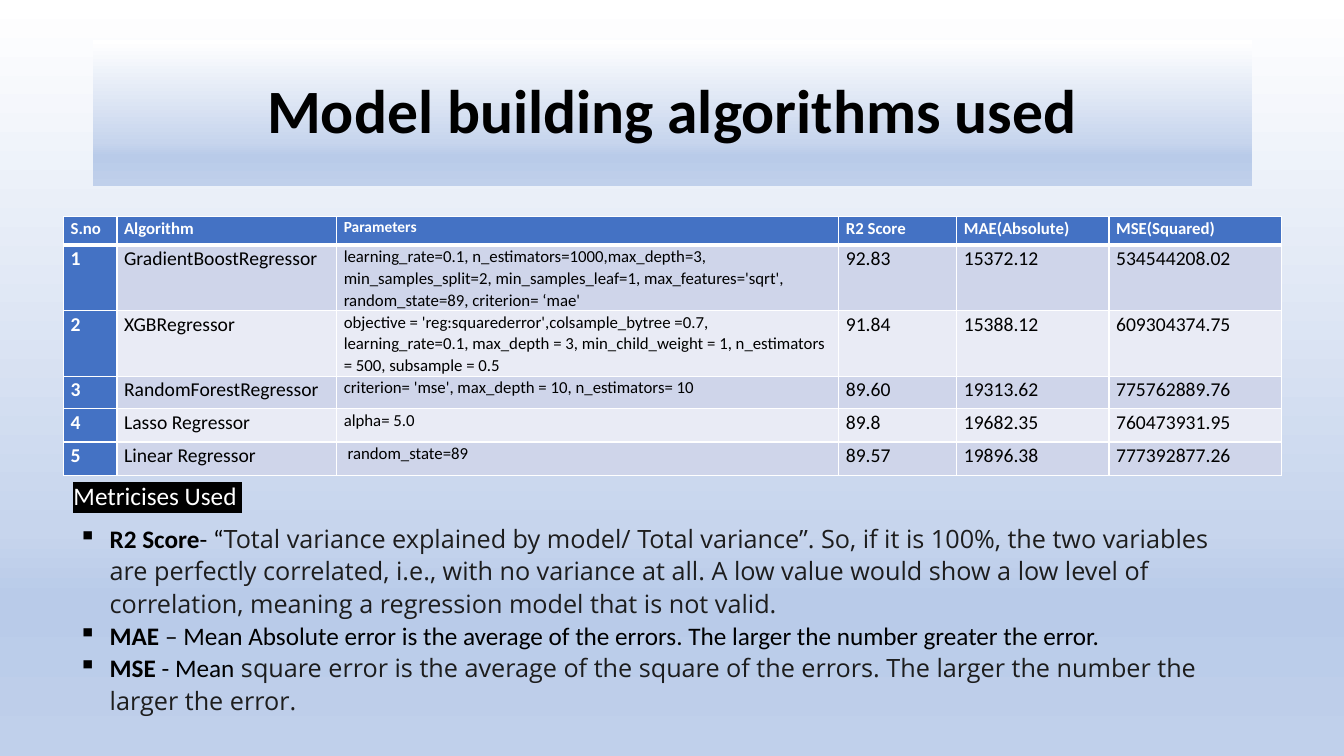
from dataclasses import dataclass

from lxml.etree import SubElement
from pptx import Presentation
from pptx.dml.color import RGBColor
from pptx.enum.text import MSO_ANCHOR, MSO_AUTO_SIZE, PP_ALIGN
from pptx.oxml import parse_xml
from pptx.oxml.ns import nsdecls, qn
from pptx.util import Inches, Pt

BLACK, WHITE, INK = "000000", "FFFFFF", "1D1D1D"
BLUE, BANDS = "4472C4", ("CFD5EA", "E9EBF5")
SKY = ((0, WHITE), (70, "C7D5ED"), (79, "B9CBE9"), (100, "C0D0EB"))

prs = Presentation()
prs.slide_width, prs.slide_height = Inches(13.33), Inches(7.5)


def across(share: float) -> int:
    """Length as a percentage of the slide width."""
    return round(prs.slide_width * share / 100)


def down(share: float) -> int:
    """Length as a percentage of the slide height."""
    return round(prs.slide_height * share / 100)


@dataclass(frozen=True)
class Box:
    """A frame in percentages of the slide."""
    left: float
    top: float
    width: float
    height: float

    def emu(self) -> tuple:
        """Frame in slide units."""
        return across(self.left), down(self.top), across(self.width), down(self.height)


@dataclass(frozen=True)
class Model:
    """One row of the results table."""
    name: str
    parameters: str
    r2: str
    mae: str
    mse: str


@dataclass(frozen=True)
class Metric:
    """One bullet: bold term, plain lead-in and explanation."""
    term: str
    lead: str
    meaning: str = ""


HEADERS = ("S.no", "Algorithm", "Parameters ", "R2 Score", "MAE(Absolute)", "MSE(Squared)")
MODELS = (
    Model("GradientBoostRegressor",
          "learning_rate=0.1, n_estimators=1000,max_depth=3, min_samples_split=2, "
          "min_samples_leaf=1, max_features='sqrt', random_state=89, criterion= ‘mae'",
          "92.83", "15372.12", "534544208.02"),
    Model("XGBRegressor",
          "objective = 'reg:squarederror',colsample_bytree =0.7, learning_rate=0.1, "
          "max_depth = 3, min_child_weight = 1, n_estimators = 500, subsample = 0.5",
          "91.84", "15388.12", "609304374.75"),
    Model("RandomForestRegressor", "criterion= 'mse', max_depth = 10, n_estimators= 10",
          "89.60", "19313.62", "775762889.76"),
    Model("Lasso Regressor", "alpha= 5.0", "89.8", "19682.35", "760473931.95"),
    Model("Linear Regressor", " random_state=89", "89.57", "19896.38", "777392877.26"),
)
METRICS = (
    Metric("R2 Score", "- “",
           "Total variance explained by model/ Total variance”. So, if it is 100%, the two "
           "variables are perfectly correlated, i.e., with no variance at all. A low value would "
           "show a low level of correlation, meaning a regression model that is not valid."),
    Metric("MAE", " – Mean Absolute error is the average of the errors. "
                  "The larger the number greater the error."),
    Metric("MSE", " - Mean", " square error is the average of the square of the errors. "
                             "The larger the number the larger the error."),
)
COLUMNS = (3.98, 16.35, 37.36, 8.78, 11.33, 12.83)
ROWS = (3.73, 8.13, 8.13, 4.27, 4.4, 4.4)
PARAMETERS = HEADERS.index("Parameters ")


def rgb(color: str) -> RGBColor:
    """Colour from a hex string."""
    return RGBColor.from_string(color)


def add_text(p, text: str, size: float = 18, font: str = "Calibri", color: str = BLACK,
             bold: bool = False, highlight: str = ""):
    """Append a formatted run to a paragraph."""
    r = p.add_run()
    r.text = text
    r.font.size, r.font.name, r.font.bold = Pt(size), font, bold
    r.font.color.rgb = rgb(color)
    if highlight:
        r.font._element.find(qn("a:solidFill")).addnext(parse_xml(
            f'<a:highlight {nsdecls("a")}><a:srgbClr val="{highlight}"/></a:highlight>'))


def fill_sky(fill, owner) -> None:
    """Give a fill, found inside its owner element, the vertical sky gradient."""
    fill.gradient()
    fill.gradient_angle = 270
    stops = next(owner.iter(qn("a:gsLst")))
    for stop in list(stops):
        stops.remove(stop)
    for position, color in SKY:
        stop = SubElement(stops, qn("a:gs"), pos=str(position * 1000))
        SubElement(stop, qn("a:srgbClr"), val=color)


def set_borders(cell, top: float, bottom: float) -> None:
    """Draw white borders, one point wide at the sides."""
    tc_pr = cell._tc.get_or_add_tcPr()
    sides = (("L", 1), ("R", 1), ("T", top), ("B", bottom))
    for index, (side, width) in enumerate(sides):
        tc_pr.insert(index, parse_xml(
            f'<a:ln{side} {nsdecls("a")} w="{Pt(width)}"><a:solidFill>'
            f'<a:srgbClr val="{WHITE}"/></a:solidFill></a:ln{side}>'))


def add_cell(cell, text: str, row: int, col: int) -> None:
    """Fill and write one table cell."""
    heading = row == 0 or col == 0
    cell.fill.solid()
    cell.fill.fore_color.rgb = rgb(BLUE if heading else BANDS[(row - 1) % 2])
    set_borders(cell, top=3 if row == 1 else 1, bottom=3 if row == 0 else 1)
    cell.margin_left = cell.margin_right = Inches(0.07)
    cell.margin_top = cell.margin_bottom = 0
    p = cell.text_frame.paragraphs[0]
    p.line_spacing, p.space_after = 1.07, Pt(8)
    size = (12 if row else 11) if col == PARAMETERS else (14 if row else 12)
    add_text(p, text, size=size, color=WHITE if heading else BLACK, bold=heading)


def add_results(s, box: Box) -> None:
    """Add the table of models and scores."""
    rows = [HEADERS] + [(str(n), m.name, m.parameters, m.r2, m.mae, m.mse)
                        for n, m in enumerate(MODELS, 1)]
    table = s.shapes.add_table(len(ROWS), len(COLUMNS), *box.emu()).table
    table.first_col = True
    for column, width in zip(table.columns, COLUMNS):
        column.width = across(width)
    for r, (row, height) in enumerate(zip(rows, ROWS)):
        table.rows[r].height = down(height)
        for c, text in enumerate(row):
            add_cell(table.cell(r, c), text, r, c)


def add_frame(s, box: Box):
    """Add a wrapping text box and return its text frame."""
    tf = s.shapes.add_textbox(*box.emu()).text_frame
    tf.word_wrap = True
    tf.auto_size = MSO_AUTO_SIZE.SHAPE_TO_FIT_TEXT
    return tf


def add_metric(p, metric: Metric) -> None:
    """Write one bulleted metric."""
    p.line_spacing = 1.07
    p.space_after = Pt(8 if metric is METRICS[-1] else 0)
    p_pr = p._p.get_or_add_pPr()
    p_pr.set("marL", str(Inches(0.31)))
    p_pr.set("indent", str(-Inches(0.31)))
    SubElement(p_pr, qn("a:buChar"), char="▪")
    add_text(p, metric.term, bold=True)
    add_text(p, metric.lead)
    if metric.meaning:
        add_text(p, metric.meaning, font="Open Sans", color=INK)


def add_title(s, text: str, box: Box) -> None:
    """Place and format the title placeholder."""
    sp = s.shapes.title
    sp.left, sp.top, sp.width, sp.height = box.emu()
    fill_sky(sp.fill, sp._element)
    tf = sp.text_frame
    tf.vertical_anchor = MSO_ANCHOR.MIDDLE
    p = tf.paragraphs[0]
    p.alignment, p.line_spacing = PP_ALIGN.CENTER, 0.9
    add_text(p, text, size=44, bold=True)


s = prs.slides.add_slide(prs.slide_layouts[5])
fill_sky(s.background.fill, s._element)
add_title(s, "Model building algorithms used", Box(6.9, 5.33, 86.27, 19.33))
add_results(s, Box(4.73, 28.67, sum(COLUMNS), sum(ROWS)))
tf = add_frame(s, Box(5.1, 68.27, 87.02, 27.07))
for n, metric in enumerate(METRICS):
    add_metric(tf.add_paragraph() if n else tf.paragraphs[0], metric)
label = add_frame(s, Box(4.73, 62.93, 26.78, 5.33))
add_text(label.paragraphs[0], "Metricises Used ", color=WHITE, highlight=BLACK)
prs.save("out.pptx")
